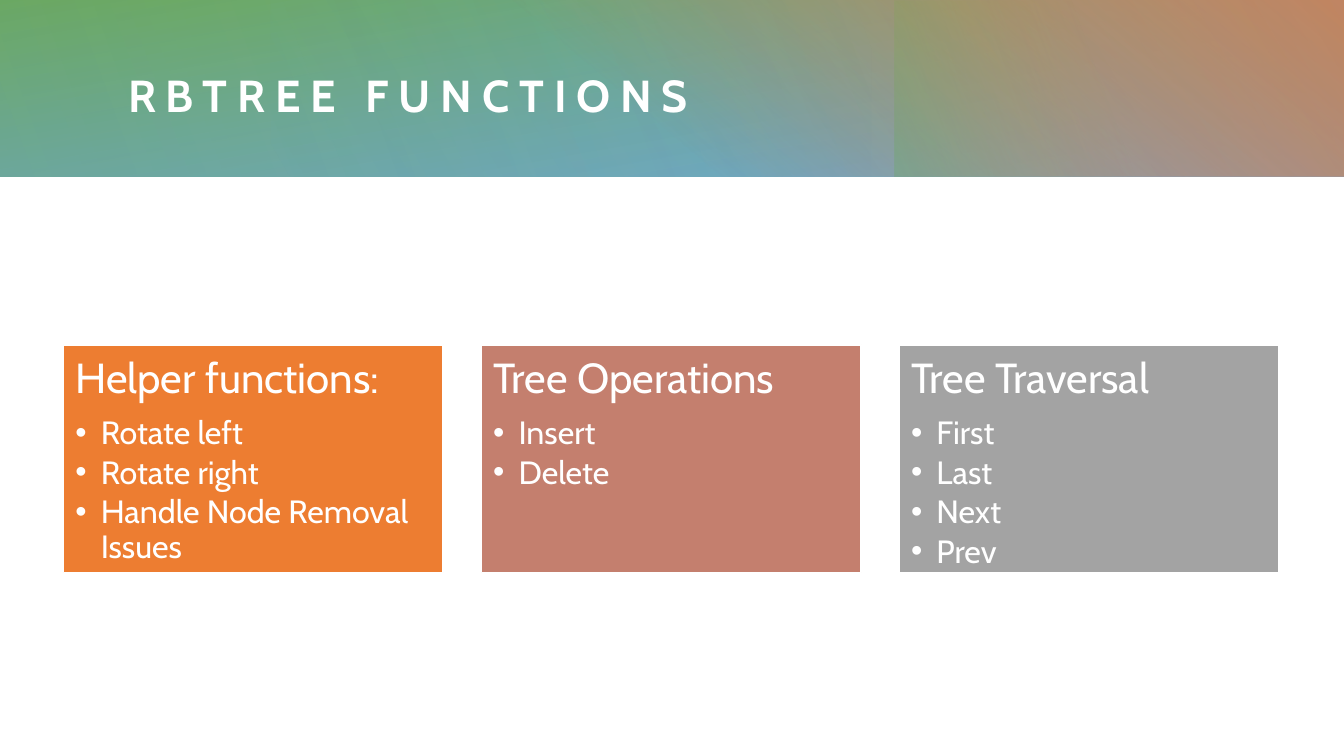
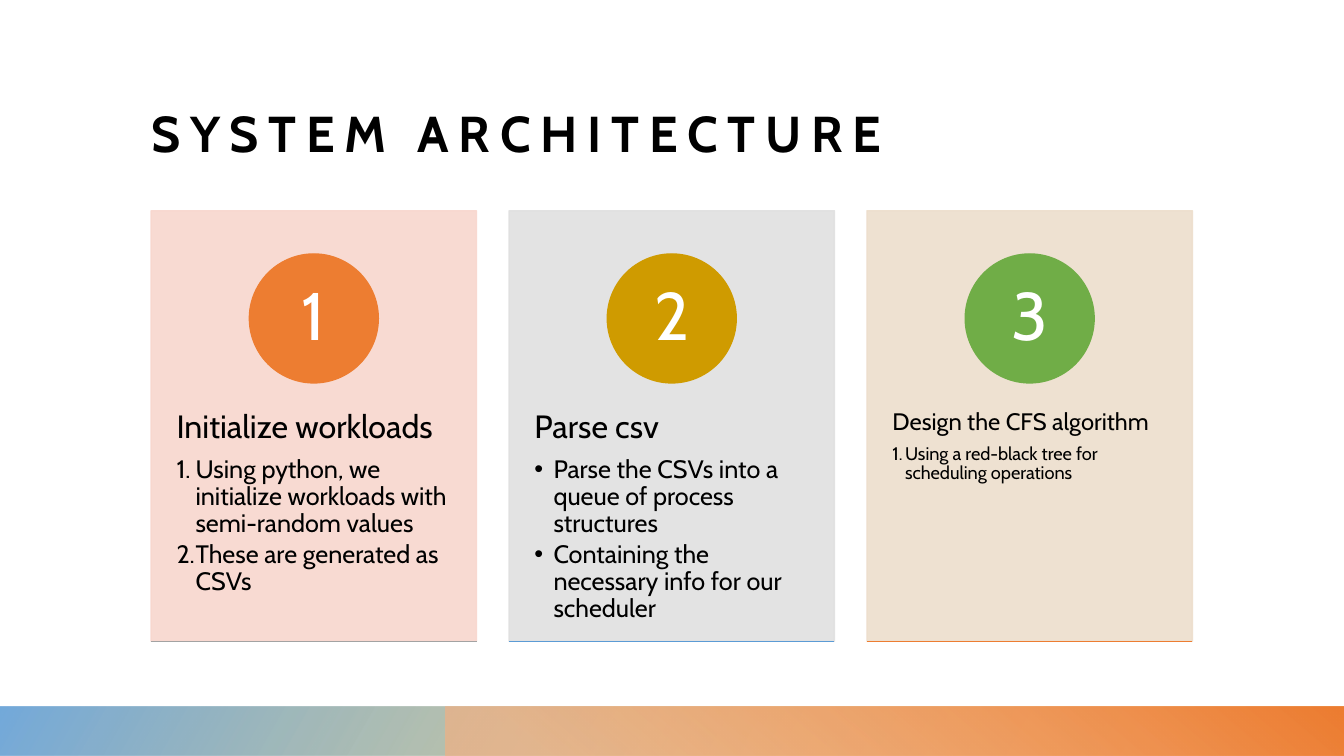
"""Build two slides on a red-black tree scheduler."""
from lxml import etree
from pptx import Presentation
from pptx.dml.color import RGBColor
from pptx.enum import shapes, text
from pptx.oxml.ns import qn
from pptx.util import Cm, Pt

FONT = "Cabin"
WHITE = RGBColor(0xFF, 0xFF, 0xFF)
BLACK = RGBColor(0x00, 0x00, 0x00)
ORANGE = RGBColor(0xED, 0x7D, 0x31)
PEACH = RGBColor(0xF4, 0xB1, 0x83)
CLAY = RGBColor(0xC4, 0x7F, 0x6E)
GRAY = RGBColor(0xA3, 0xA3, 0xA3)
GOLD = RGBColor(0xCF, 0x9B, 0x00)
BLUE = RGBColor(0x5B, 0x9B, 0xD5)
GREEN = RGBColor(0x70, 0xAD, 0x47)
PALE_PINK = RGBColor(0xF8, 0xD7, 0xCE)
PALE_GRAY = RGBColor(0xE0, 0xE0, 0xE0)
PALE_SAND = RGBColor(0xED, 0xDE, 0xCC)

SLIDE_WIDTH, SLIDE_HEIGHT = 33.87, 19.05
HEADER_HEIGHT = 4.45
FOOTER_TOP = 17.8
FOOTER_HEIGHT = SLIDE_HEIGHT - FOOTER_TOP
FOOTER_SPLIT = 11.22

HEADER_BANDS = [
    ((0, 0, SLIDE_WIDTH, HEADER_HEIGHT), 260, [(0, BLUE, 83), (100, GREEN, 100)], 0),
    ((12.22, 0, 21.65, HEADER_HEIGHT), 310, [(22, ORANGE, 0), (99, ORANGE, 100)], 0),
    ((25.07, -2.52, HEADER_HEIGHT, 9.5), 250, [(45, GOLD, 0), (99, GREEN, 33)], 270),
    ((6.82, 0, 27.05, HEADER_HEIGHT), 330, [(0, BLUE, 30), (99, BLUE, 0)], 180),
    ((0, 0, 21.97, HEADER_HEIGHT), 340, [(0, BLUE, 21), (99, BLUE, 0)], 0),
]
FOOTER_BANDS = [
    ((0, FOOTER_TOP, SLIDE_WIDTH, FOOTER_HEIGHT), 210,
     [(14, GOLD, 28), (100, BLUE, 85)], 0),
    ((FOOTER_SPLIT, FOOTER_TOP, SLIDE_WIDTH - FOOTER_SPLIT, FOOTER_HEIGHT), 310,
     [(9, PEACH, 68), (99, ORANGE, 100)], 0),
]
FUNCTION_CARDS = [
    (ORANGE, "Helper functions:",
     ["Rotate left", "Rotate right", "Handle Node Removal Issues"]),
    (CLAY, "Tree Operations", ["Insert", "Delete"]),
    (GRAY, "Tree Traversal", ["First", "Last", "Next", "Prev"]),
]
STEP_CARDS = [
    (PALE_PINK, ORANGE, GRAY, "Initialize workloads",
     ["Using python, we initialize workloads with semi-random values",
      "These are generated as CSVs"], True, (23, 18, 0.48)),
    (PALE_GRAY, GOLD, BLUE, "Parse csv",
     ["Parse the CSVs into a queue of process structures",
      "Containing the necessary info for our scheduler"], False, (23, 18, 0.48)),
    (PALE_SAND, GREEN, ORANGE, "Design the CFS algorithm",
     ["Using a red-black tree for scheduling operations"], True, (17, 13, 0.32)),
]


def set_alpha(color, percent):
    """Make a colour element partly transparent."""
    if percent < 100:
        etree.SubElement(color, qn("a:alpha")).set("val", str(percent * 1000))


def add_box(slide, kind, place, fill=None, line=None):
    """Add a preset shape without shadow; place is in centimetres."""
    box = slide.shapes.add_shape(kind, *map(Cm, place))
    box.shadow.inherit = False
    if fill is not None:
        box.fill.solid()
        box.fill.fore_color.rgb = fill
    if line is None:
        box.line.fill.background()
    else:
        box.line.color.rgb = line
        box.line.width = Pt(1)
    return box


def add_band(slide, place, angle, stops, rotation):
    """Add a rectangle with a clockwise linear gradient."""
    band = add_box(slide, shapes.MSO_SHAPE.RECTANGLE, place)
    band.rotation = rotation
    band.fill.gradient()
    band.fill.gradient_angle = 360 - angle
    for stop, (position, color, _) in zip(band.fill.gradient_stops, stops):
        stop.position = position / 100
        stop.color.rgb = color
    colors = band._element.spPr.iter(qn("a:srgbClr"))
    for color, (_, _, percent) in zip(list(colors), stops):
        set_alpha(color, percent)


def style_paragraph(para, size, color, bold=False):
    """Set the font of a whole paragraph."""
    para.font.name = FONT
    para.font.size = Pt(size)
    para.font.color.rgb = color
    para.font.bold = bold


def set_bullet(para, indent, numbered):
    """Give a paragraph a hanging bullet or number."""
    properties = para._p.get_or_add_pPr()
    properties.set("marL", str(Cm(indent)))
    properties.set("indent", str(-Cm(indent)))
    if numbered:
        etree.SubElement(properties, qn("a:buAutoNum")).set("type", "arabicPeriod")
    else:
        etree.SubElement(properties, qn("a:buFont")).set("typeface", "Arial")
        etree.SubElement(properties, qn("a:buChar")).set("char", "•")


def set_frame(box, anchor, left, top, right, bottom):
    """Set wrapping, anchor and insets of a shape's text."""
    frame = box.text_frame
    frame.word_wrap = True
    frame.auto_size = text.MSO_AUTO_SIZE.NONE
    frame.vertical_anchor = anchor
    frame.margin_left, frame.margin_top = Cm(left), Cm(top)
    frame.margin_right, frame.margin_bottom = Cm(right), Cm(bottom)
    return frame


def write_list(frame, heading, items, color, sizes, numbered=False):
    """Write a heading and its bulleted items."""
    heading_size, item_size, indent = sizes
    for index, words in enumerate([heading, *items]):
        para = frame.add_paragraph() if index else frame.paragraphs[0]
        para.text = words
        para.alignment = text.PP_ALIGN.LEFT
        para.line_spacing = 0.9
        size = item_size if index else heading_size
        para.space_before = Pt(0)
        para.space_after = Pt(round(size * (0.15 if index else 0.35), 1))
        if index:
            para.level = 1
            set_bullet(para, indent, numbered)
        style_paragraph(para, size, color)


def write_title(slide, words, place, anchor, size, color):
    """Place the title above the bands, in bold spaced letters."""
    title = slide.shapes.title
    title.left, title.top, title.width, title.height = map(Cm, place)
    frame = set_frame(title, anchor, 0, 0, 0, 0)
    frame.text = words
    para = frame.paragraphs[0]
    para.alignment = text.PP_ALIGN.LEFT
    style_paragraph(para, size, color, bold=True)
    para.font._element.set("spc", "700")
    slide.shapes._spTree.append(title._element)


def add_rule(slide, left, top, width, color):
    """Add a thin horizontal line."""
    rule = slide.shapes.add_connector(
        shapes.MSO_CONNECTOR.STRAIGHT, Cm(left), Cm(top), Cm(left + width), Cm(top))
    rule.line.color.rgb = color
    rule.line.width = Pt(1)
    etree.SubElement(rule._element.spPr, qn("a:effectLst"))


def add_slide(deck, bands):
    """Add a title slide layout with its gradient bands."""
    slide = deck.slides.add_slide(deck.slide_layouts.get_by_name("Title Only"))
    for band in bands:
        add_band(slide, *band)
    return slide


def build_functions(deck):
    """Build the slide with the three groups of functions."""
    slide = add_slide(deck, HEADER_BANDS)
    write_title(slide, "RBTREE FUNCTIONS", (3.23, 1.04, 28.83, 2.69),
                text.MSO_ANCHOR.MIDDLE, 32, WHITE)
    for index, (fill, heading, items) in enumerate(FUNCTION_CARDS):
        place = (1.6 + index * 10.53, 8.69, 9.57, 5.74)
        card = add_box(slide, shapes.MSO_SHAPE.RECTANGLE, place, fill, WHITE)
        frame = set_frame(card, text.MSO_ANCHOR.TOP, 0.3, 0.3, 0.3, 0.3)
        write_list(frame, heading, items, WHITE, (30, 23, 0.64))


def add_step(slide, index, step):
    """Add a numbered step card."""
    fill, accent, rule_color, heading, items, numbered, sizes = step
    left, top, width, height = 3.81 + index * 9.02, 5.31, 8.2, 10.85
    diameter = 3.25
    card = add_box(slide, shapes.MSO_SHAPE.RECTANGLE,
                   (left, top, width, height), fill, fill)
    for color in card._element.spPr.iter(qn("a:srgbClr")):
        set_alpha(color, 90)
    frame = set_frame(card, text.MSO_ANCHOR.TOP, 0.64, 5.03, 0.64, 0)
    write_list(frame, heading, items, BLACK, sizes, numbered)

    circle_place = (left + (width - diameter) / 2, 6.4, diameter, diameter)
    circle = add_box(slide, shapes.MSO_SHAPE.OVAL, circle_place, accent, accent)
    frame = set_frame(circle, text.MSO_ANCHOR.MIDDLE, 0, 0, 0, 0)
    frame.text = str(index + 1)
    para = frame.paragraphs[0]
    para.alignment = text.PP_ALIGN.CENTER
    para.line_spacing = 0.9
    style_paragraph(para, 48, WHITE)
    add_rule(slide, left, top + height, width, rule_color)


def build_architecture(deck):
    """Build the slide with the three numbered steps."""
    slide = add_slide(deck, FOOTER_BANDS)
    write_title(slide, "SYSTEM ARCHITECTURE", (3.81, 1.32, 26.24, 2.79),
                text.MSO_ANCHOR.BOTTOM, 36, BLACK)
    for index, step in enumerate(STEP_CARDS):
        add_step(slide, index, step)


def main():
    """Build and save the deck."""
    deck = Presentation()
    deck.slide_width, deck.slide_height = Cm(SLIDE_WIDTH), Cm(SLIDE_HEIGHT)
    build_functions(deck)
    build_architecture(deck)
    deck.save("out.pptx")


if __name__ == "__main__":
    main()
